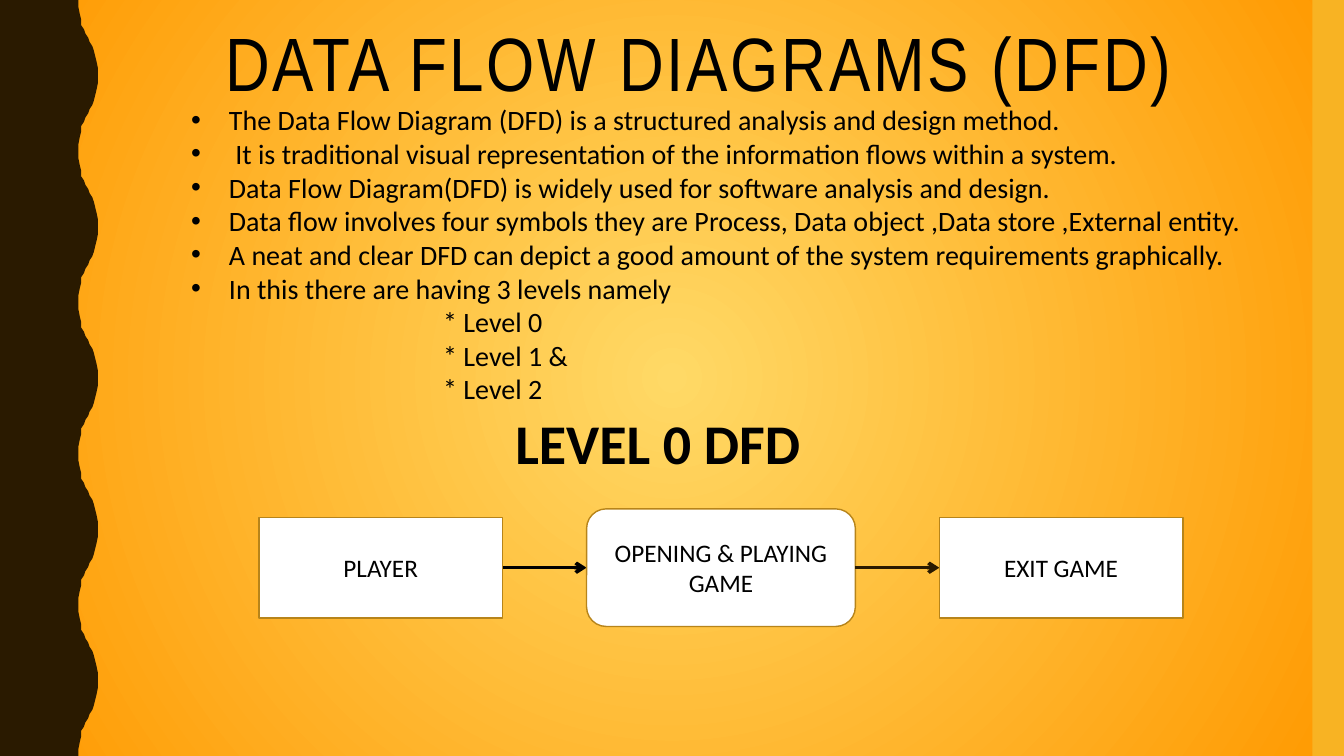
import pptx
import pptx.dml.color
import pptx.enum.shapes
import pptx.enum.text
import pptx.oxml
import pptx.oxml.ns
import pptx.util
from lxml import etree

Pt = pptx.util.Pt
SHAPES = pptx.enum.shapes.MSO_SHAPE
ALIGN = pptx.enum.text.PP_ALIGN
ANCHOR = pptx.enum.text.MSO_ANCHOR
qn = pptx.oxml.ns.qn
DRAWING = 'xmlns:a="http://schemas.openxmlformats.org/drawingml/2006/main"'

WIDTH, HEIGHT = 960, 540
BLACK, BROWN, GOLD = "000000", "2A1A00", "B7841A"

# First half of one wave of the left edge, as (x, y); the second half mirrors it.
WAVE_PERIOD = 108
HALF_WAVE = [(56, 0), (56.3, 5), (57, 10), (57.6, 14.4), (58.5, 18), (60, 21),
             (61.2, 24), (62.6, 27), (64.1, 30), (65.5, 33), (67, 36),
             (68.4, 39.6), (69.1, 44), (69.8, 49), (70, 54)]

BULLETS = [
    "The Data Flow Diagram (DFD) is a structured analysis and design method.",
    " It is traditional visual representation of the information flows within a system.",
    "Data Flow Diagram(DFD) is widely used for software analysis and design.",
    "Data flow involves four symbols they are Process, Data object ,Data store ,External entity.",
    "A neat and clear DFD can depict a good amount of the system requirements graphically.",
    "In this there are having 3 levels namely",
]
LEVELS = ["* Level 0", "* Level 1 &", "* Level 2"]


def color(value):
    return pptx.dml.color.RGBColor.from_string(value)


def xml(markup):
    return pptx.oxml.parse_xml(markup)


def style(paragraph, size, font="Calibri", bold=False):
    for run in paragraph.runs:
        run.font.name = font
        run.font.size = Pt(size)
        run.font.bold = bold
        run.font.color.rgb = color(BLACK)


def outline(paragraph):
    for run in paragraph.runs:
        run.font.fill.solid()
        run.font.color.rgb = color(BLACK)
        properties = run.font.fill._xPr
        properties.insert(0, xml(
            f'<a:ln {DRAWING} w="9525"><a:solidFill><a:srgbClr val="FFFF00"/>'
            '</a:solidFill></a:ln>'))


def paint(shape, fill, line=None):
    shape.shadow.inherit = False
    shape.fill.solid()
    shape.fill.fore_color.rgb = color(fill)
    if line:
        shape.line.color.rgb = color(line)
        shape.line.width = Pt(1)
    else:
        shape.line.fill.background()


def add_text_frame(slide, left, top, width, height):
    text_frame = slide.shapes.add_textbox(Pt(left), Pt(top), Pt(width), Pt(height)).text_frame
    text_frame.word_wrap = True
    return text_frame


def add_background(slide):
    """Radial gradient from yellow at the centre to orange."""
    fill = slide.background.fill
    fill.gradient()
    for stop, value, position in zip(fill.gradient_stops, ("FFD966", "FF9900"), (0, 1)):
        stop.color.rgb = color(value)
        stop.position = position
    linear = next(slide.element.iter(qn("a:lin")))
    linear.getparent().replace(linear, xml(
        f'<a:path {DRAWING} path="circle">'
        '<a:fillToRect l="50000" t="50000" r="50000" b="50000"/></a:path>'))


def add_side_bands(slide):
    mirrored = [(x, WAVE_PERIOD - y) for x, y in reversed(HALF_WAVE[1:-1])]
    wave = HALF_WAVE + mirrored
    edge = [(x, y + start) for start in range(0, HEIGHT, WAVE_PERIOD) for x, y in wave]
    edge += [(HALF_WAVE[0][0], HEIGHT), (0, HEIGHT)]
    builder = slide.shapes.build_freeform(0, 0, scale=12700)
    builder.add_line_segments(edge, close=True)
    paint(builder.convert_to_shape(), BROWN)

    band_width = 22.5
    band = slide.shapes.add_shape(SHAPES.RECTANGLE, Pt(WIDTH - band_width), 0,
                                  Pt(band_width), Pt(HEIGHT))
    paint(band, "F8B323")


def add_title(slide, left, top, width, height):
    text_frame = add_text_frame(slide, left, top, width, height)
    text_frame.vertical_anchor = ANCHOR.MIDDLE
    paragraph = text_frame.paragraphs[0]
    paragraph.text = "DATA FLOW DIAGRAMS (DFD)"
    paragraph.alignment = ALIGN.CENTER
    paragraph.line_spacing = 0.9
    style(paragraph, 54, "Arial Narrow")
    outline(paragraph)
    for properties in paragraph._p.iter(qn("a:rPr")):
        properties.set("spc", "200")


def add_description(slide, left, top, width, height):
    text_frame = add_text_frame(slide, left, top, width, height)
    text_frame.text = "\n".join(BULLETS + LEVELS)
    for index, paragraph in enumerate(text_frame.paragraphs):
        paragraph.alignment = ALIGN.JUSTIFY
        properties = paragraph._p.get_or_add_pPr()
        if index < len(BULLETS):
            properties.set("marL", str(Pt(27)))
            properties.set("indent", str(-Pt(27)))
            etree.SubElement(properties, qn("a:buFont")).set("typeface", "Arial")
            etree.SubElement(properties, qn("a:buChar")).set("char", "•")
        else:
            properties.set("marL", str(Pt(180)))
        style(paragraph, 20)


def add_diagram_heading(slide, left, top, width, height):
    paragraph = add_text_frame(slide, left, top, width, height).paragraphs[0]
    paragraph.text = " LEVEL 0 DFD"
    style(paragraph, 40, bold=True)
    outline(paragraph)


def add_node(slide, kind, label, left, top, width, height):
    node = slide.shapes.add_shape(kind, Pt(left), Pt(top), Pt(width), Pt(height))
    paint(node, "FFFFFF", GOLD)
    node.text_frame.word_wrap = True
    node.text_frame.vertical_anchor = ANCHOR.MIDDLE
    paragraph = node.text_frame.paragraphs[0]
    paragraph.text = label
    paragraph.alignment = ALIGN.CENTER
    style(paragraph, 18)


def add_arrow(slide, left, right, y, line):
    arrow = slide.shapes.add_connector(pptx.enum.shapes.MSO_CONNECTOR.STRAIGHT,
                                       Pt(left), Pt(y), Pt(right), Pt(y))
    arrow.line.color.rgb = color(line)
    arrow.line.width = Pt(2.5)
    etree.SubElement(arrow.line._get_or_add_ln(), qn("a:tailEnd")).set("type", "arrow")
    etree.SubElement(arrow._element.spPr, qn("a:effectLst"))


def add_level_0_diagram(slide, left, top, height):
    """Player, game and exit in a row, joined by arrows of equal length."""
    gap = 60
    middle = top + height / 2
    nodes = [(SHAPES.RECTANGLE, "PLAYER", 174, 72, BLACK),
             (SHAPES.ROUNDED_RECTANGLE, "OPENING & PLAYING GAME", 192, height, BROWN),
             (SHAPES.RECTANGLE, "EXIT GAME", 174, 72, None)]
    for kind, label, node_width, node_height, arrow_color in nodes:
        add_node(slide, kind, label, left, middle - node_height / 2, node_width, node_height)
        left += node_width
        if arrow_color:
            add_arrow(slide, left, left + gap, middle, arrow_color)
        left += gap


def main():
    presentation = pptx.Presentation()
    presentation.slide_width = Pt(WIDTH)
    presentation.slide_height = Pt(HEIGHT)
    slide = presentation.slides.add_slide(presentation.slide_layouts[6])
    add_background(slide)
    add_side_bands(slide)
    add_title(slide, 98.5, 10.8, 801.5, 73.5)
    add_description(slide, 129.5, 70, 770.5, 225.5)
    add_diagram_heading(slide, 352, 288, 347, 55.5)
    add_level_0_diagram(slide, 185, 363.5, 84)
    presentation.save("out.pptx")


if __name__ == "__main__":
    main()
